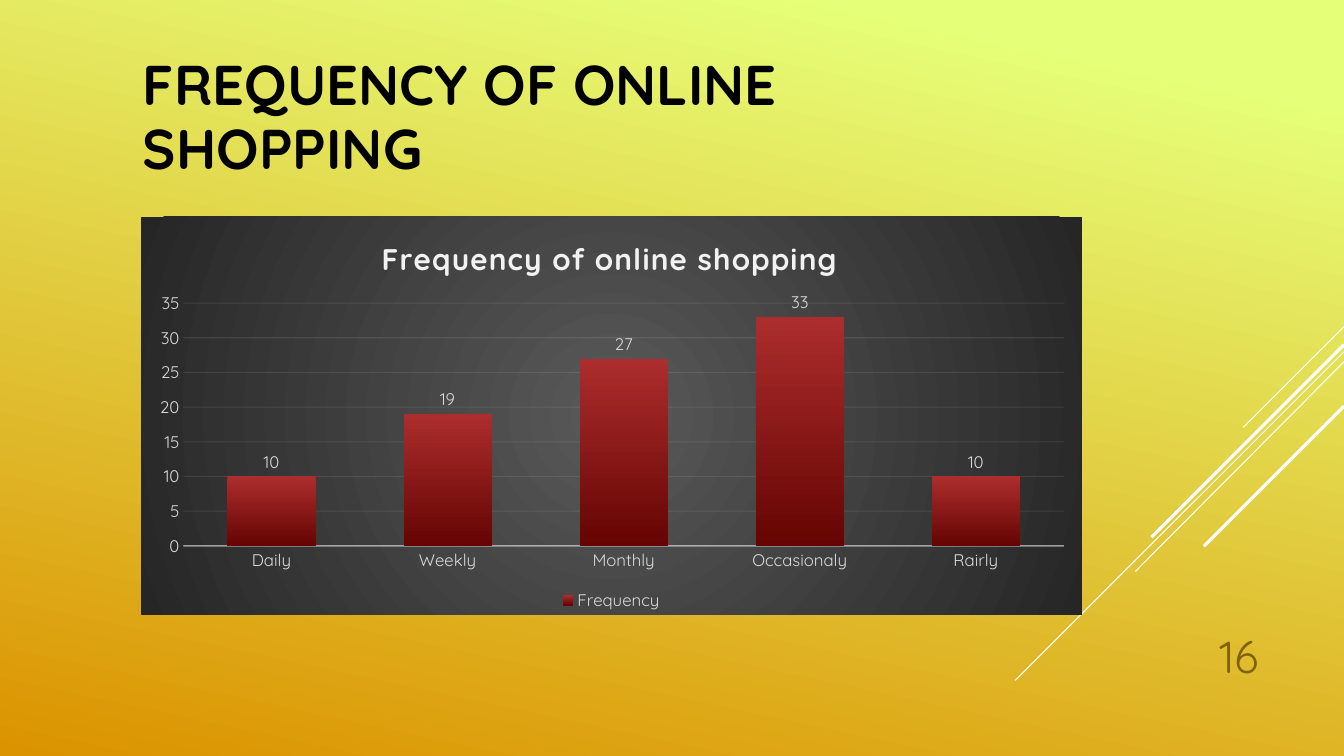
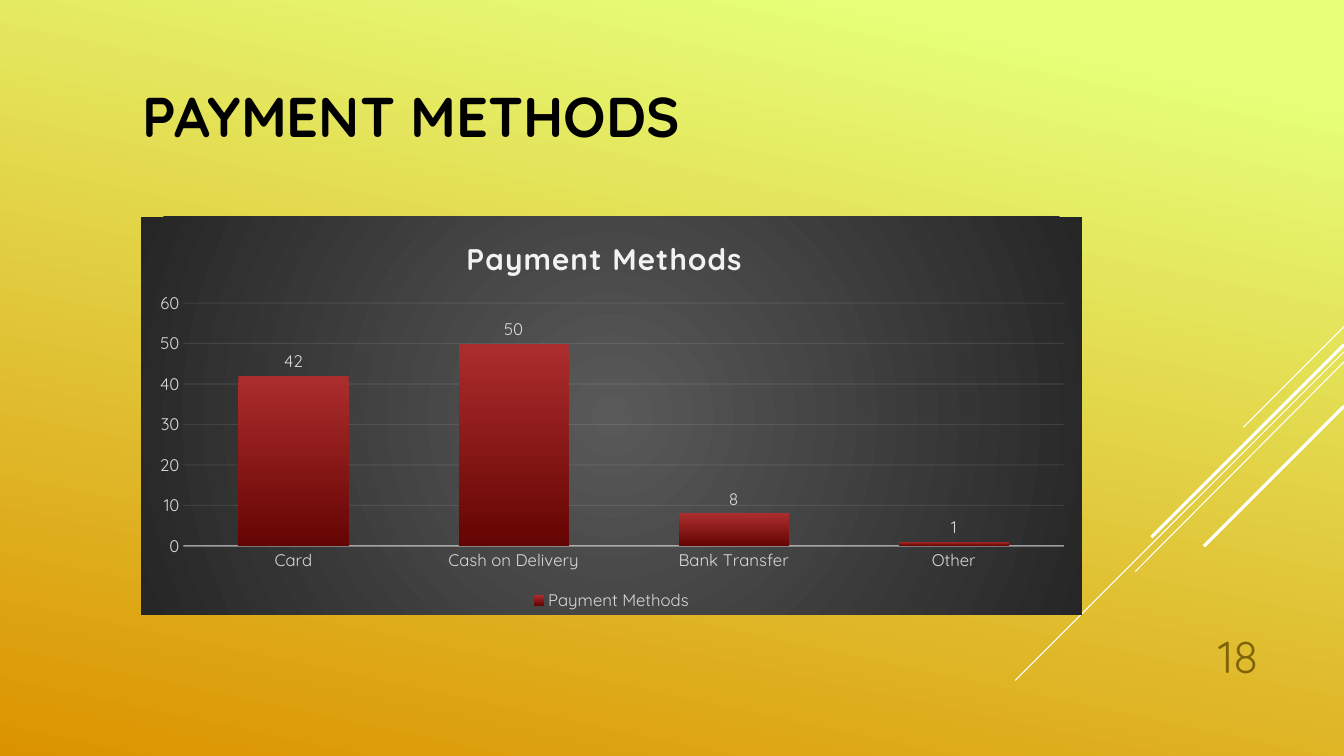
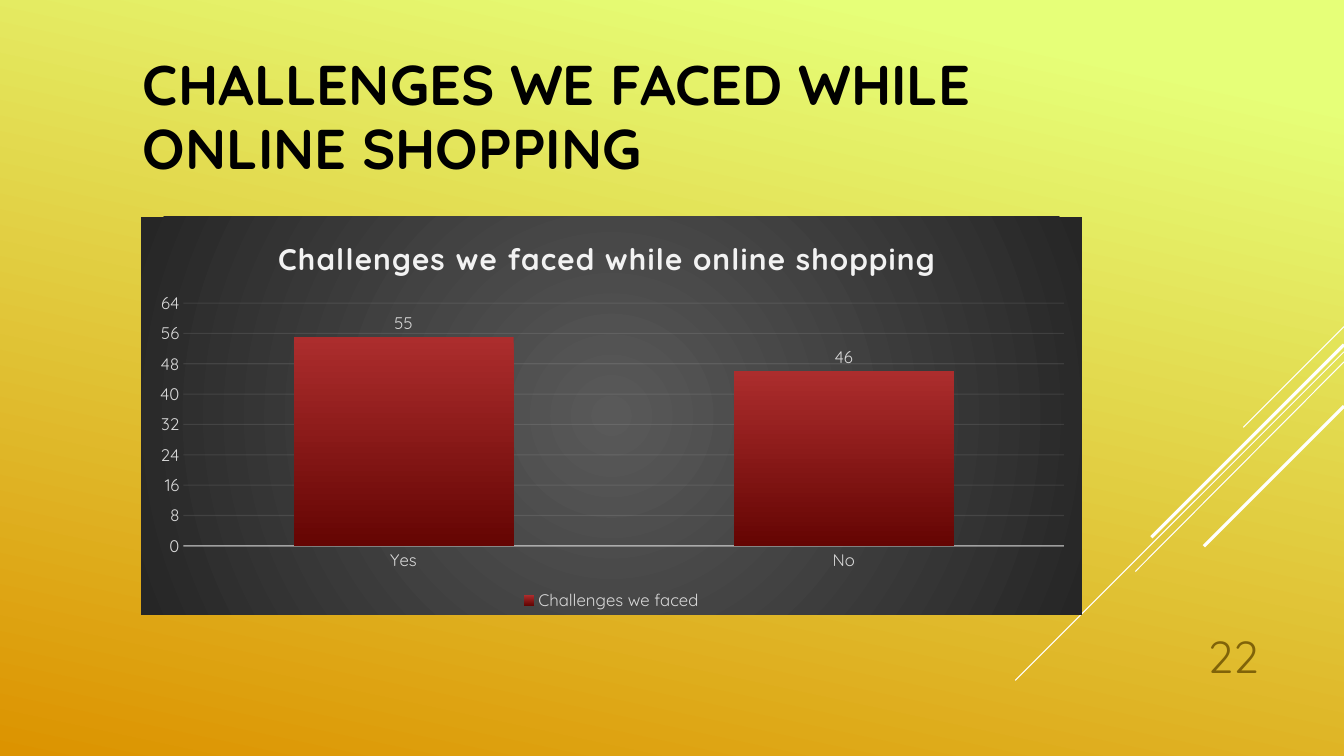
from lxml import etree
from pptx import Presentation
from pptx.chart.data import CategoryChartData
from pptx.dml.color import RGBColor
from pptx.enum.chart import XL_CHART_TYPE, XL_LABEL_POSITION, XL_LEGEND_POSITION, XL_TICK_MARK
from pptx.enum.shapes import MSO_CONNECTOR
from pptx.enum.text import MSO_ANCHOR, PP_ALIGN
from pptx.oxml import parse_xml
from pptx.oxml.ns import nsdecls, qn
from pptx.util import Inches, Pt

FONT = "Quicksand"
BLACK = RGBColor(0x00, 0x00, 0x00)
WHITE = RGBColor(0xFF, 0xFF, 0xFF)
LIME = RGBColor(0xE6, 0xFF, 0x78)
ORANGE = RGBColor(0xDC, 0x93, 0x00)
OLIVE = RGBColor(0x80, 0x63, 0x09)
RED = RGBColor(0xAC, 0x2D, 0x2D)
DARK_RED = RGBColor(0x65, 0x05, 0x03)
PALE_GREY = RGBColor(0xF2, 0xF2, 0xF2)
LIGHT_GREY = RGBColor(0xD9, 0xD9, 0xD9)
GREY = RGBColor(0x59, 0x59, 0x59)
DARK_GREY = RGBColor(0x26, 0x26, 0x26)

# Diagonal lines: start y on the right edge, end x, end y, width in points
DIAGONALS = [
    (3.24, 12.33, 4.24, 0.75),
    (3.49, 10.07, 6.75, 0.75),
    (3.59, 11.26, 5.67, 0.75),
    (3.42, 11.42, 5.33, 2.25),
    (4.03, 11.94, 5.42, 2.25),
]

# chart_title_left is a share of the chart width
SLIDES = [
    dict(title="FREQUENCY OF ONLINE SHOPPING", number="16",
         chart_title="Frequency of online shopping", chart_title_left=0.25,
         series="Frequency", top=35, step=5,
         values={"Daily": 10, "Weekly": 19, "Monthly": 27, "Occasionaly": 33, "Rairly": 10}),
    dict(title="PAYMENT METHODS", number="18",
         chart_title="Payment Methods", chart_title_left=0.34,
         series="Payment Methods", top=60, step=10,
         values={"Card": 42, "Cash on Delivery": 50, "Bank Transfer": 8, "Other": 1}),
    dict(title="CHALLENGES WE FACED WHILE ONLINE SHOPPING", number="22",
         chart_title="Challenges we faced while online shopping", chart_title_left=0.14,
         series="Challenges we faced", top=64, step=8,
         values={"Yes": 55, "No": 46}),
]

CHART_FILL = f"""<c:spPr {nsdecls("c", "a")}>
  <a:gradFill>
    <a:gsLst>
      <a:gs pos="0"><a:srgbClr val="{GREY}"/></a:gs>
      <a:gs pos="100000"><a:srgbClr val="{DARK_GREY}"/></a:gs>
    </a:gsLst>
    <a:path path="circle"><a:fillToRect l="50000" t="50000" r="50000" b="50000"/></a:path>
  </a:gradFill>
  <a:ln><a:noFill/></a:ln>
</c:spPr>"""


def layout_xml(target="", **places):
    """Manual chart layout; places are shares of the chart's size."""
    modes = '<c:xMode val="edge"/><c:yMode val="edge"/>'
    sizes = "".join(f'<c:{name} val="{value}"/>' for name, value in places.items())
    return parse_xml(f'<c:layout {nsdecls("c")}><c:manualLayout>'
                     f'{target}{modes}{sizes}</c:manualLayout></c:layout>')


def set_gradient(fill, angle, stops):
    fill.gradient()
    fill.gradient_angle = angle
    for stop, (position, color) in zip(fill.gradient_stops, stops):
        stop.position = position
        stop.color.rgb = color


presentation = Presentation()
presentation.slide_width = Inches(13.33)
presentation.slide_height = Inches(7.5)
set_gradient(presentation.slide_master.background.fill, 258, [(0.1, LIME), (1, ORANGE)])

for content in SLIDES:
    slide = presentation.slides.add_slide(presentation.slide_layouts[6])

    for start_y, end_x, end_y, width in DIAGONALS:
        line = slide.shapes.add_connector(
            MSO_CONNECTOR.STRAIGHT, Inches(13.33), Inches(start_y), Inches(end_x), Inches(end_y))
        line.line.color.rgb = WHITE
        line.line.width = Pt(width)
        etree.SubElement(line.element.spPr, qn("a:effectLst"))

    # Title and slide number
    for text, box, anchor, alignment, size, color, bold in [
        (content["title"], (1.32, 0.35, 9.33, 1.65), MSO_ANCHOR.MIDDLE, PP_ALIGN.LEFT, 40, BLACK, True),
        (content["number"], (11.33, 6.1, 1.25, 0.73), MSO_ANCHOR.BOTTOM, PP_ALIGN.RIGHT, 32, OLIVE, False),
    ]:
        text_frame = slide.shapes.add_textbox(*map(Inches, box)).text_frame
        text_frame.word_wrap = True
        text_frame.vertical_anchor = anchor
        text_frame.text = text
        paragraph = text_frame.paragraphs[0]
        paragraph.alignment = alignment
        paragraph.line_spacing = 0.95
        font = paragraph.runs[0].font
        font.name, font.size, font.bold = FONT, Pt(size), bold
        font.color.rgb = color

    # Column chart
    chart_data = CategoryChartData()
    chart_data.categories = list(content["values"])
    chart_data.add_series(content["series"], list(content["values"].values()))
    chart = slide.shapes.add_chart(
        XL_CHART_TYPE.COLUMN_CLUSTERED, Inches(1.4), Inches(2.15), Inches(9.33), Inches(3.95),
        chart_data).chart
    chart.font.name, chart.font.size = FONT, Pt(10)
    chart.font.color.rgb = WHITE
    chart.element.chart.addnext(parse_xml(CHART_FILL))

    chart.has_title = True
    chart.chart_title.text_frame.text = content["chart_title"]
    title_run = chart.chart_title.text_frame.paragraphs[0].runs[0]
    title_run.font.name, title_run.font.size, title_run.font.bold = FONT, Pt(21.3), True
    title_run.font.color.rgb = PALE_GREY
    title_run.font._element.set("spc", "100")
    title_element = chart.element.chart.find(qn("c:title"))
    for old_layout in title_element.findall(qn("c:layout")):
        title_element.remove(old_layout)
    title_element.find(qn("c:tx")).addnext(layout_xml(x=content["chart_title_left"], y=0.04))

    plot_area = chart.element.chart.plotArea
    for old_layout in plot_area.findall(qn("c:layout")):
        plot_area.remove(old_layout)
    plot_area.insert(0, layout_xml('<c:layoutTarget val="inner"/>', x=0.045, y=0.217, w=0.936, h=0.61))

    chart.has_legend = True
    chart.legend.position = XL_LEGEND_POSITION.BOTTOM
    chart.legend.include_in_layout = False

    plot = chart.plots[0]
    plot.gap_width = 100
    plot.overlap = -24
    plot.vary_by_categories = False
    set_gradient(plot.series[0].format.fill, 270, [(0, RED), (1, DARK_RED)])
    plot.has_data_labels = True
    plot.data_labels.show_value = True
    plot.data_labels.position = XL_LABEL_POSITION.OUTSIDE_END

    category_axis, value_axis = chart.category_axis, chart.value_axis
    for axis in (category_axis, value_axis):
        axis.major_tick_mark = XL_TICK_MARK.NONE
        axis.minor_tick_mark = XL_TICK_MARK.NONE
    category_axis.format.line.color.rgb = PALE_GREY
    category_axis.format.line.width = Pt(1)
    value_axis.format.line.fill.background()
    value_axis.minimum_scale = 0
    value_axis.maximum_scale = content["top"]
    value_axis.major_unit = content["step"]
    value_axis.has_major_gridlines = True
    gridline = value_axis.major_gridlines.format.line
    gridline.color.rgb = PALE_GREY
    gridline.width = Pt(0.75)
    for line_path, opacity in [("c:catAx/c:spPr", 54), ("c:valAx/c:majorGridlines", 10)]:
        for color in plot_area.xpath(f"{line_path}//a:srgbClr"):
            etree.SubElement(color, qn("a:alpha"), val=str(opacity * 1000))

    for labelled in (category_axis.tick_labels, value_axis.tick_labels, chart.legend, plot.data_labels):
        labelled.font.name, labelled.font.size = FONT, Pt(12)
        labelled.font.color.rgb = LIGHT_GREY

presentation.save("out.pptx")
